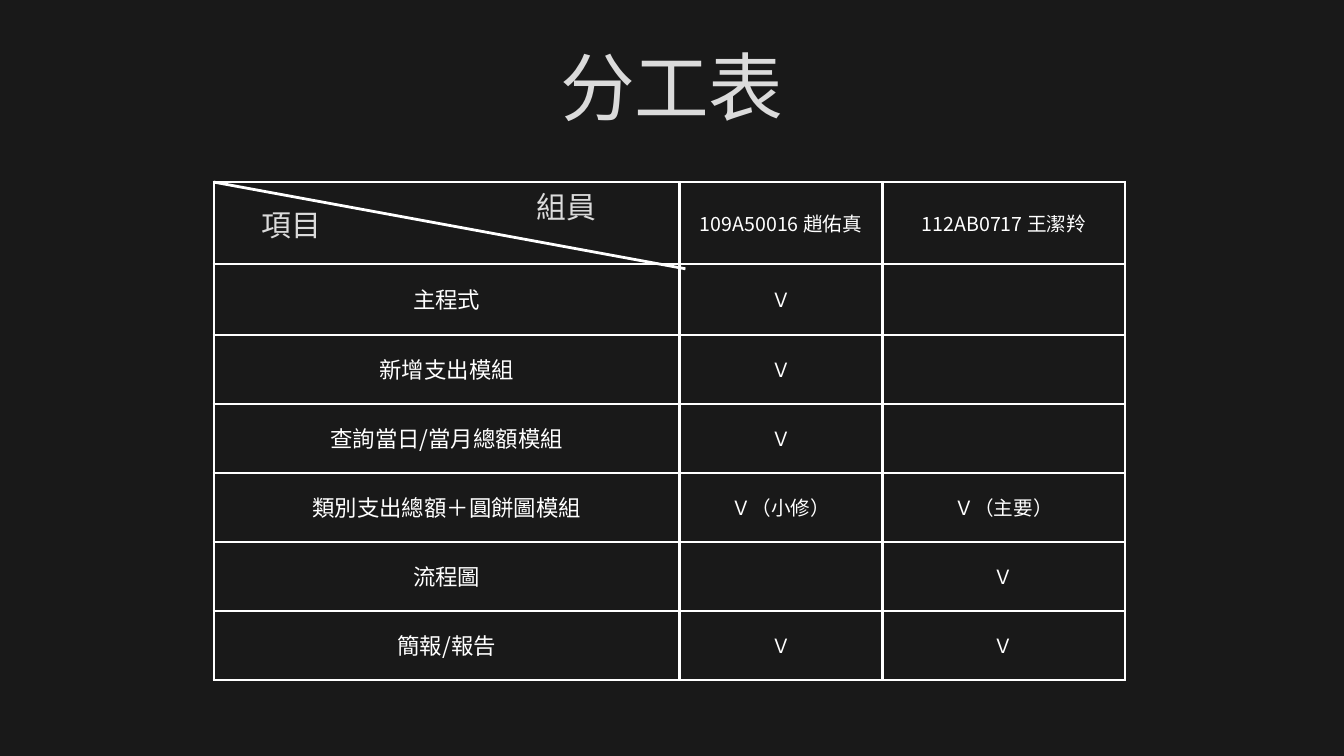
from lxml.etree import SubElement
from pptx import Presentation
from pptx.dml.color import RGBColor
from pptx.enum.shapes import MSO_CONNECTOR
from pptx.enum.text import MSO_ANCHOR, PP_ALIGN
from pptx.oxml import parse_xml
from pptx.oxml.ns import nsdecls, qn
from pptx.util import Pt

CJK = "Noto Sans CJK SC"
WHITE = "FFFFFF"
GREY = "DBDBDB"
LEFT, TOP = 229, 195.1


def rgb(color):
    return RGBColor.from_string(color)


def write(frame, text, size, spacing, font_name, color):
    """Fill a text frame with one centred paragraph and return its font."""
    paragraph = frame.paragraphs[0]
    paragraph.text = text
    paragraph.alignment = PP_ALIGN.CENTER
    paragraph.line_spacing = Pt(spacing)
    font = paragraph.font
    font.size = Pt(size)
    font.name = font_name
    font.color.rgb = rgb(color)
    SubElement(font._rPr, qn("a:ea"), typeface=font_name)
    return font


prs = Presentation()
prs.slide_width, prs.slide_height = Pt(1440), Pt(810)
slide = prs.slides.add_slide(prs.slide_layouts[6])
slide.background.fill.solid()
slide.background.fill.fore_color.rgb = rgb("191919")

# Who did what
duties = [
    ("", "109A50016 趙佑真", "112AB0717 王潔羚"),
    ("主程式", "Ｖ", ""),
    ("新增支出模組", "Ｖ", ""),
    ("查詢當日/當月總額模組", "Ｖ", ""),
    ("類別支出總額＋圓餅圖模組", "Ｖ（小修）", "Ｖ（主要）"),
    ("流程圖", "", "Ｖ"),
    ("簡報/報告", "Ｖ", "Ｖ"),
]
widths = [499, 217.5, 260]
heights = [87.8, 76] + [74] * 5
table = slide.shapes.add_table(
    len(duties), len(widths), Pt(LEFT), Pt(TOP), Pt(sum(widths)), Pt(sum(heights))
).table
table.first_row = table.horz_banding = False
for column, width in zip(table.columns, widths):
    column.width = Pt(width)
for row, height, texts in zip(table.rows, heights, duties):
    row.height = Pt(height)
    for index, (cell, text) in enumerate(zip(row.cells, texts)):
        cell.vertical_anchor = MSO_ANCHOR.MIDDLE
        cell.margin_left = cell.margin_right = Pt(15)
        cell.margin_top = cell.margin_bottom = Pt(15)
        if text:
            size = 24 if index == 0 else 21
            write(cell.text_frame, text, size, size * 1.4, CJK, WHITE)
        properties = cell._tc.get_or_add_tcPr()
        for side in ("lnL", "lnR", "lnT", "lnB"):
            properties.append(parse_xml(
                f'<a:{side} {nsdecls("a")} w="{Pt(3)}"><a:solidFill>'
                f'<a:srgbClr val="{WHITE}"/></a:solidFill></a:{side}>'
            ))
        cell.fill.background()

# Diagonal that splits the corner cell
diagonal = slide.shapes.add_connector(
    MSO_CONNECTOR.STRAIGHT, Pt(LEFT), Pt(TOP), Pt(734.4), Pt(288)
)
diagonal.line.color.rgb = rgb(WHITE)
diagonal.line.width = Pt(3)
SubElement(diagonal._element.spPr, qn("a:effectLst"))

# Title and the two labels of the corner cell
for text, left, top, height, size, spacing, font_name in [
    ("分工表", 425.5, 56.2, 85.7, 80, 83.2, CJK),
    ("項目", 18, 214.6, 41.8, 32, 44.8, "Calibri"),
    ("組員", 312.5, 195.8, 41.8, 32, 44.8, "Calibri"),
]:
    frame = slide.shapes.add_textbox(Pt(left), Pt(top), Pt(589), Pt(height)).text_frame
    frame.word_wrap = True
    frame.margin_left = frame.margin_right = frame.margin_top = frame.margin_bottom = 0
    font = write(frame, text, size, spacing, font_name, GREY)
    if size == 80:
        font._rPr.set("spc", "-60")

prs.save("out.pptx")
